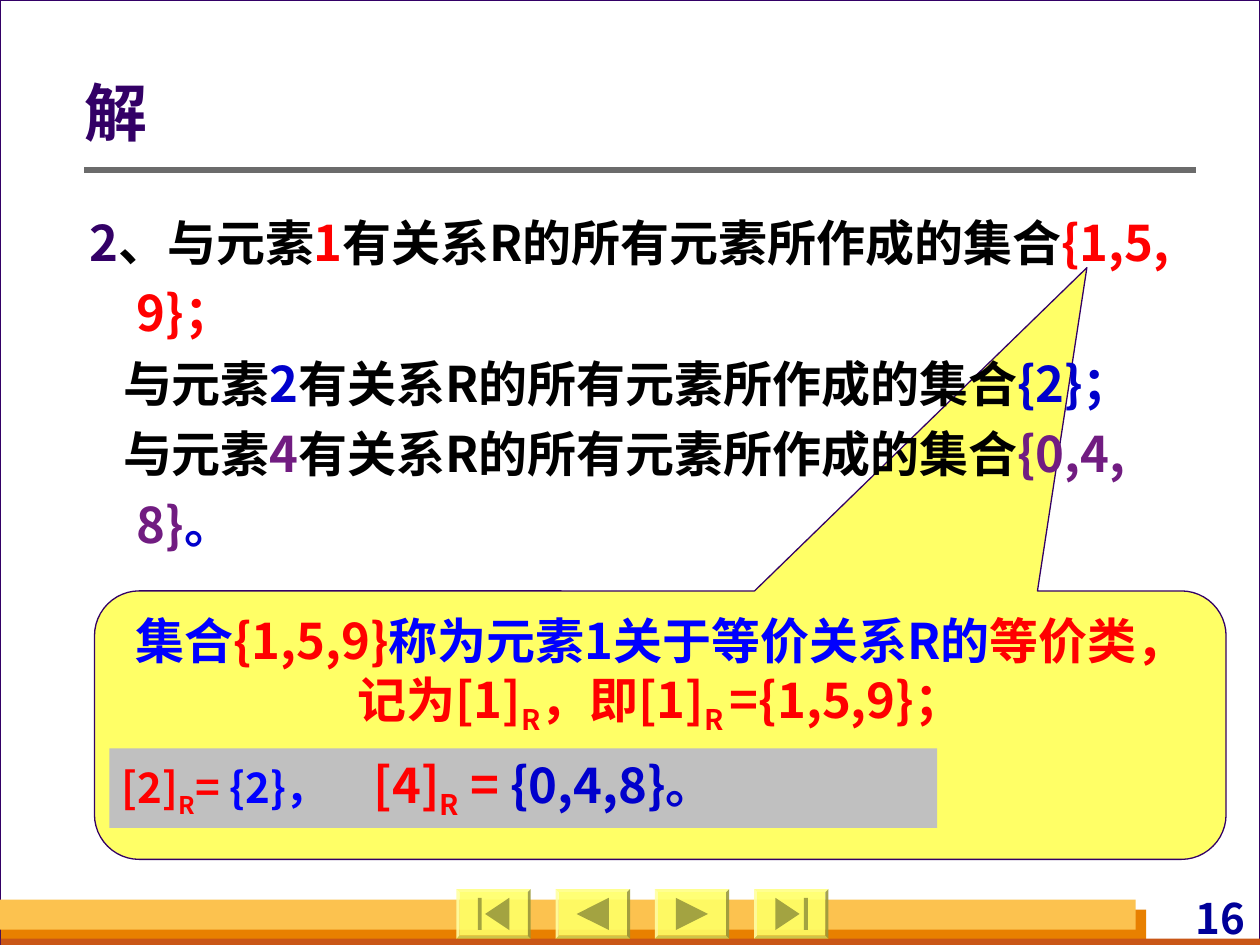
from dataclasses import dataclass, field

from lxml.etree import SubElement
from pptx import Presentation
from pptx.dml.color import RGBColor
from pptx.enum.shapes import MSO_CONNECTOR, MSO_SHAPE
from pptx.enum.text import MSO_ANCHOR, PP_ALIGN
from pptx.oxml.ns import qn
from pptx.util import Pt

FACE = "Noto Sans CJK SC"
PAPER = RGBColor(0xD8, 0xDA, 0xDA)
WHITE = RGBColor(0xFF, 0xFF, 0xFF)
BLACK = RGBColor(0, 0, 0)
INDIGO = RGBColor(0x33, 0, 0x66)
NAVY = RGBColor(0, 0, 0x99)
BLUE = RGBColor(0, 0, 0xFF)
COBALT = RGBColor(0, 0, 0xCC)
RED = RGBColor(0xFF, 0, 0)
PURPLE = RGBColor(0x71, 0x1C, 0x81)
YELLOW = RGBColor(0xFF, 0xFF, 0x66)
OLIVE = RGBColor(0xA3, 0xA3, 0x41)
ORANGE = RGBColor(0xE8, 0x80, 0)
RUST = RGBColor(0xC9, 0x56, 0x16)
AMBER = RGBColor(0xFC, 0xC2, 0x4F)
GREY = RGBColor(0x6B, 0x6B, 0x6B)
SILVER = RGBColor(0xC0, 0xC0, 0xC0)


@dataclass
class Box:
    left: float
    top: float
    width: float
    height: float

    def place(self) -> tuple:
        return tuple(Pt(v) for v in (self.left, self.top, self.width, self.height))


@dataclass
class Run:
    text: str
    color: RGBColor
    size: float = 28
    sub: bool = False


@dataclass
class Line:
    runs: list
    form: dict = field(default_factory=dict)
    hang: tuple = (0, 0)
    tab: float = 0


@dataclass
class Button:
    left: float
    flip: bool
    tip: float
    bar: float = 0


def draw_shape(slide, kind, box: Box, fill: RGBColor, edge=None):
    shape = slide.shapes.add_shape(kind, *box.place())
    shape.shadow.inherit = False
    shape.fill.solid()
    shape.fill.fore_color.rgb = fill
    if edge is None:
        shape.line.fill.background()
    else:
        shape.line.color.rgb = edge
        shape.line.width = Pt(0.75)
    return shape


def write(shape, lines: list, inset: tuple, anchor=MSO_ANCHOR.TOP):
    """Fill a shape with styled lines; inset is left, top, right, bottom."""
    frame = shape.text_frame
    frame.word_wrap = True
    frame.vertical_anchor = anchor
    for side, gap in zip(("left", "top", "right", "bottom"), inset):
        setattr(frame, f"margin_{side}", Pt(gap))
    for i, line in enumerate(lines):
        para = frame.add_paragraph() if i else frame.paragraphs[0]
        form = {"alignment": PP_ALIGN.LEFT, **line.form}
        for name, value in form.items():
            setattr(para, name, value)
        props = para._p.get_or_add_pPr()
        for name, value in zip(("marL", "indent"), line.hang):
            props.set(name, str(Pt(value)))
        if line.tab:
            stops = SubElement(props, qn("a:tabLst"))
            SubElement(stops, qn("a:tab"), pos=str(Pt(line.tab)), algn="l")
        for part in line.runs:
            run = para.add_run()
            run.text = part.text
            style = {"name": FACE, "size": Pt(part.size), "bold": True}
            for name, value in style.items():
                setattr(run.font, name, value)
            run.font.color.rgb = part.color
            mark = run._r.get_or_add_rPr()
            SubElement(mark, qn("a:ea"), typeface=FACE)
            if part.sub:
                mark.set("baseline", "-25000")


def draw_text(slide, box: Box, lines: list, inset: tuple, anchor=MSO_ANCHOR.TOP):
    write(slide.shapes.add_textbox(*box.place()), lines, inset, anchor)


def draw_button(slide, button: Button):
    """Draw a raised key with a triangle and, if set, a stop bar."""
    top, high, icon = 508.1, 28.3, 18.4
    key = draw_shape(slide, MSO_SHAPE.BEVEL, Box(button.left, top, 42.5, high), YELLOW)
    key.adjustments[0] = 0.06
    tint = key.fill._xPr.find(qn("a:solidFill"))[0]
    SubElement(tint, qn("a:alpha"), val="90000")
    wide = 13.8 if button.bar else icon
    rise = top + (high - icon) / 2
    # The triangle points up before it is turned, so its box is set by centre.
    spot = Box(button.left + button.tip + (wide - icon) / 2,
               rise + (icon - wide) / 2, icon, wide)
    arrow = draw_shape(slide, MSO_SHAPE.ISOSCELES_TRIANGLE, spot, OLIVE)
    arrow.rotation = 270 if button.flip else 90
    if button.bar:
        draw_shape(slide, MSO_SHAPE.RECTANGLE,
                   Box(button.left + button.bar, rise, 2.3, icon), OLIVE)


def draw_frame(slide):
    rect = MSO_SHAPE.RECTANGLE
    draw_shape(slide, rect, Box(0, 0, 720, 540), WHITE, INDIGO)
    for box, fill in (
        (Box(0.5, 519.8, 654.5, 20.2), ORANGE),
        (Box(0.5, 536.4, 719.5, 3.6), RUST),
        (Box(0, 514, 649, 17.2), AMBER),
    ):
        draw_shape(slide, rect, box, fill)
    draw_text(slide, Box(609.8, 509.8, 104.4, 28.8),
              [Line([Run("16", NAVY, 24)], {"alignment": PP_ALIGN.RIGHT})],
              (2.9, 0, 2.9, 0))
    rule = slide.shapes.add_connector(
        MSO_CONNECTOR.STRAIGHT, Pt(48.2), Pt(97.2), Pt(683.3), Pt(97.2))
    rule.line.color.rgb = GREY
    rule.line.width = Pt(3)
    SubElement(rule._element.spPr, qn("a:effectLst"))
    first, step = 260.8, 56.7
    for i, (flip, tip, bar) in enumerate((
        (True, 16.4, 12.2), (True, 12, 0), (False, 12, 0), (False, 12.2, 28.5),
    )):
        draw_button(slide, Button(first + i * step, flip, tip, bar))


def main():
    deck = Presentation()
    deck.slide_width, deck.slide_height = Pt(720), Pt(540)
    slide = deck.slides.add_slide(deck.slide_layouts[6])
    slide.background.fill.solid()
    slide.background.fill.fore_color.rgb = PAPER
    draw_frame(slide)

    note = draw_shape(slide, MSO_SHAPE.ROUNDED_RECTANGULAR_CALLOUT,
                      Box(54, 337.7, 646.6, 153.4), YELLOW, INDIGO)
    for i, value in enumerate((0.377, -1.704, 0.167)):
        note.adjustments[i] = value
    inset = (7.2, 3.6, 7.2, 3.6)
    write(note, [Line([
        Run("集合", BLUE), Run("{1,5,9}", RED),
        Run("称为元素1关于等价关系R的", BLUE),
        Run("等价类，记为[1]", RED), Run("R", RED, sub=True),
        Run("，即[1]", RED), Run("R ", RED, sub=True), Run("={1,5,9}；", RED),
    ], {"alignment": PP_ALIGN.CENTER})], inset)

    draw_text(slide, Box(48.2, 43.2, 635, 46.1),
              [Line([Run("解", INDIGO, 36)], {"line_spacing": 0.9})],
              (0, 3.6, 7.2, 3.6), MSO_ANCHOR.MIDDLE)

    lines = []
    for lead, item, tint, group, stop in (
        ("2", "1", RED, "{1,5, 9}；", ""),
        ("", "2", COBALT, "{2}；", ""),
        ("", "4", PURPLE, "{0,4, 8}", "。"),
    ):
        runs = [Run(lead, INDIGO)] if lead else []
        runs += [Run("、与元素" if lead else "与元素", BLACK), Run(item, tint),
                 Run("有关系R的所有元素所作成的集合", BLACK), Run(group, tint)]
        if stop:
            runs.append(Run(stop, COBALT))
        hang = (27, -27) if lead else (27, -7.8)
        lines.append(Line(runs, {"line_spacing": 1.2}, hang))
    draw_text(slide, Box(48.2, 111.6, 635, 247.7), lines, (2.9,) * 4)

    band = draw_shape(slide, MSO_SHAPE.RECTANGLE, Box(62.6, 427.7, 473, 45.4), SILVER)
    write(band, [Line([
        Run("[2]", RED, 24), Run("R", RED, 24, True), Run("= ", RED, 24),
        Run("{2}，\t", BLUE, 24), Run("[4]", RED), Run("R", RED, sub=True),
        Run(" = ", RED), Run("{0,4,8}。", COBALT),
    ], tab=146)], inset)
    deck.save("out.pptx")


if __name__ == "__main__":
    main()
